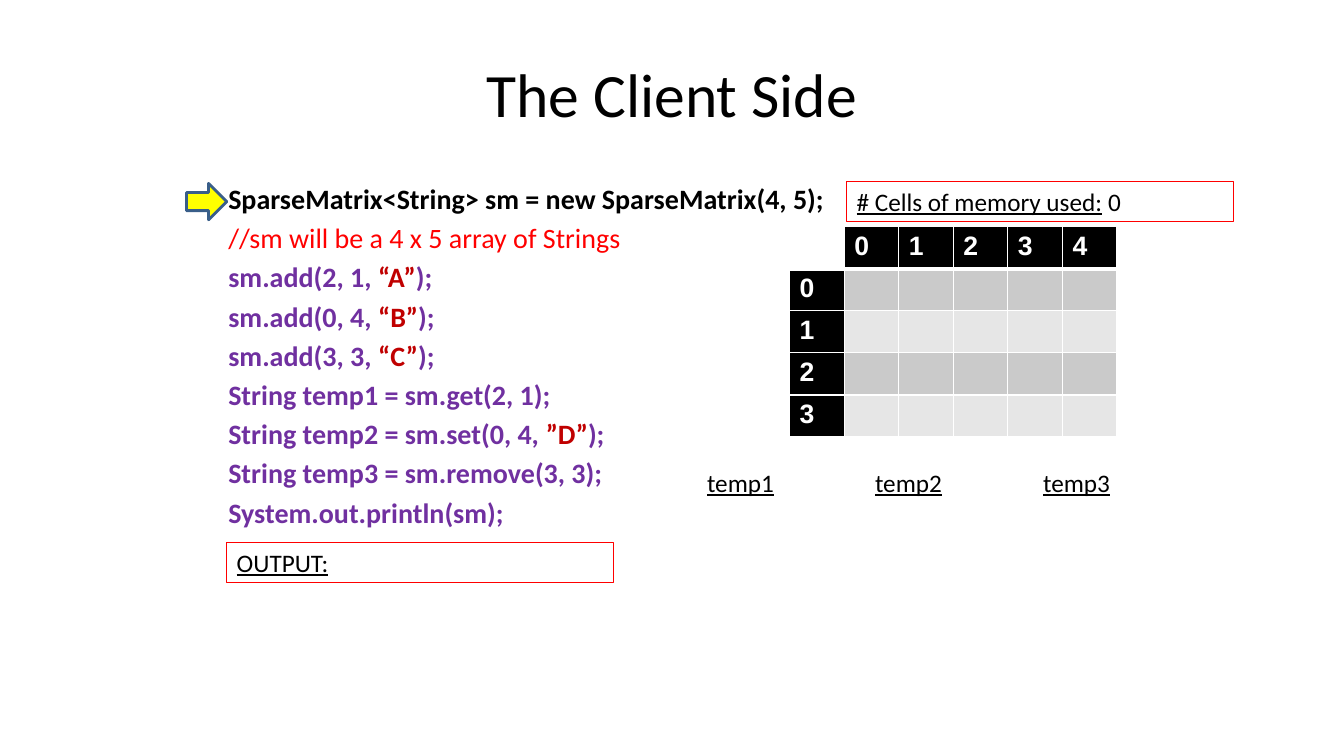
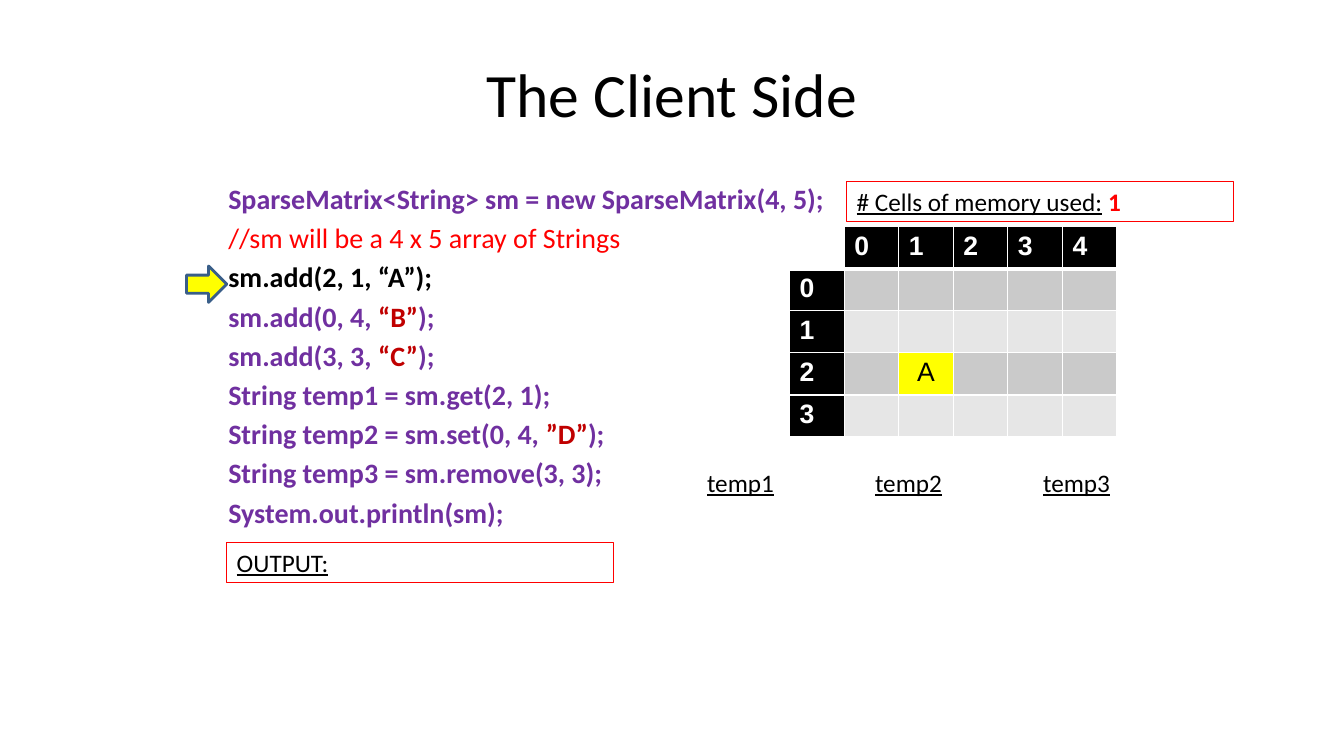
import pptx
import pptx.dml.color
import pptx.enum.shapes
import pptx.enum.text
import pptx.oxml
import pptx.oxml.ns
import pptx.util

Pt = pptx.util.Pt
ALIGN = pptx.enum.text.PP_ALIGN
ANCHOR = pptx.enum.text.MSO_ANCHOR
SHAPE = pptx.enum.shapes.MSO_SHAPE

COLORS = {
    "black": "000000", "white": "FFFFFF", "red": "FF0000",
    "code": "7030A0", "literal": "C00000", "yellow": "FFFF00",
    "arrow_line": "395E89", "odd_row": "CACACA", "even_row": "E6E6E6",
}
RGB = {name: pptx.dml.color.RGBColor.from_string(c) for name, c in COLORS.items()}

TITLE = {"name": "Calibri", "size": Pt(44)}
CODE = {"name": "Calibri", "size": Pt(20), "bold": True}
COMMENT = {**CODE, "bold": False}
LABEL = {"name": "Calibri", "size": Pt(18)}
HEADING = {**LABEL, "underline": True}
CELL = {"name": "Arial", "size": Pt(19)}
CELL_HEAD = {**CELL, "bold": True}

# Each code line: text before the string literal, the literal, text after it
CODE_LINES = [
    ("SparseMatrix<String> sm = new SparseMatrix(4, 5);", "", ""),
    ("//sm will be a 4 x 5 array of Strings", "", ""),
    ("sm.add(2, 1, ", "“A”", ");"),
    ("sm.add(0, 4, ", "“B”", ");"),
    ("sm.add(3, 3, ", "“C”", ");"),
    ("String temp1 = sm.get(2, 1);", "", ""),
    ("String temp2 = sm.set(0, 4, ", "”D”", ");"),
    ("String temp3 = sm.remove(3, 3);", "", ""),
    ("System.out.println(sm);", "", ""),
]
ROWS, COLS = 4, 5
COL_W, ROW_H = 39, 30
TAB_GAP = 120

# current: line being run; used: cells of memory; matrix: filled cells
STEPS = [
    {"current": 0, "used": "0", "used_color": "black", "used_bold": False, "matrix": {}},
    {"current": 2, "used": "1", "used_color": "red", "used_bold": True,
     "matrix": {(2, 1): "A"}},
]


def add_run(p, text, fmt, color="black"):
    r = p.add_run()
    r.text = text
    for key, value in fmt.items():
        setattr(r.font, key, value)
    r.font.color.rgb = RGB[color]


def add_box(s, left, top, width, height, line=None):
    """Add a text box, outlined if a line colour is given; return its text frame."""
    sp = s.shapes.add_textbox(Pt(left), Pt(top), Pt(width), Pt(height))
    if line:
        sp.line.color.rgb = RGB[line]
        sp.line.width = Pt(0.75)
    sp.text_frame.word_wrap = True
    return sp.text_frame


prs = pptx.Presentation()
prs.slide_width, prs.slide_height = Pt(960), Pt(540)

for step in STEPS:
    s = prs.slides.add_slide(prs.slide_layouts[6])

    tf = add_box(s, 156, 21.6, 648, 90)
    tf.vertical_anchor = ANCHOR.MIDDLE
    tf.paragraphs[0].alignment = ALIGN.CENTER
    add_run(tf.paragraphs[0], "The Client Side", TITLE)

    # Code listing
    tf = add_box(s, 156, 126, 648, 356.4)
    for i, (before, literal, after) in enumerate(CODE_LINES):
        p = tf.add_paragraph() if i else tf.paragraphs[0]
        p.space_before = Pt(4 if i else 0)
        if i == step["current"]:
            add_run(p, before + literal + after, CODE)
        elif before.startswith("//"):
            add_run(p, before, COMMENT, "red")
        else:
            for text, color in ((before, "code"), (literal, "literal"), (after, "code")):
                if text:
                    add_run(p, text, CODE, color)

    # Matrix with row and column indices
    table = s.shapes.add_table(ROWS + 1, COLS + 1, Pt(564), Pt(162),
                               Pt(COL_W * (COLS + 1)), Pt(ROW_H * (ROWS + 1))).table
    table.first_row = table.horz_banding = False
    for col in table.columns:
        col.width = Pt(COL_W)
    for i, row in enumerate(table.rows):
        row.height = Pt(ROW_H)
        for j, cell in enumerate(row.cells):
            p = cell.text_frame.paragraphs[0]
            p.font.size = CELL["size"]
            tc_pr = cell._tc.get_or_add_tcPr()
            widths = {"L": 1, "R": 1, "T": 3 if i == 1 else 1, "B": 3 if i == 0 else 1}
            for side, width in widths.items():
                tc_pr.append(pptx.oxml.parse_xml(
                    f'<a:ln{side} {pptx.oxml.ns.nsdecls("a")} w="{Pt(width)}"><a:solidFill>'
                    f'<a:srgbClr val="{COLORS["white"]}"/></a:solidFill></a:ln{side}>'))
            value = step["matrix"].get((i - 1, j - 1))
            if i == j == 0:
                fill = "white"
            elif i == 0 or j == 0:
                fill = "black"
                add_run(p, str(max(i, j) - 1), CELL_HEAD, "white")
            elif value:
                fill = "yellow"
                p.alignment = ALIGN.CENTER
                add_run(p, value, CELL)
            else:
                fill = "odd_row" if i % 2 else "even_row"
            cell.fill.solid()
            cell.fill.fore_color.rgb = RGB[fill]

    # Variable names on evenly spaced tab stops
    p = add_box(s, 498, 330, 306, 28.8).paragraphs[0]
    stops = "".join(f'<a:tab pos="{Pt(TAB_GAP * n)}" algn="l"/>' for n in (1, 2))
    p._p.get_or_add_pPr().append(pptx.oxml.parse_xml(
        f'<a:tabLst {pptx.oxml.ns.nsdecls("a")}>{stops}</a:tabLst>'))
    for n, name in enumerate(("temp1", "temp2", "temp3")):
        if n:
            add_run(p, "\t", LABEL)
        add_run(p, name, HEADING)

    p = add_box(s, 162, 387.4, 276, 28.8, "red").paragraphs[0]
    add_run(p, "OUTPUT:", HEADING)

    p = add_box(s, 604.8, 129.6, 276, 28.8, "red").paragraphs[0]
    add_run(p, "# Cells of memory used:", HEADING)
    add_run(p, " ", LABEL)
    add_run(p, step["used"], {**LABEL, "bold": step["used_bold"]}, step["used_color"])

    # Arrow at the current line
    sp = s.shapes.add_shape(SHAPE.RIGHT_ARROW, Pt(133.2), Pt(131 + 29.5 * step["current"]),
                            Pt(28.8), Pt(26))
    sp.shadow.inherit = False
    sp.fill.solid()
    sp.fill.fore_color.rgb = RGB["yellow"]
    sp.line.color.rgb = RGB["arrow_line"]
    sp.line.width = Pt(2)

prs.save("out.pptx")
